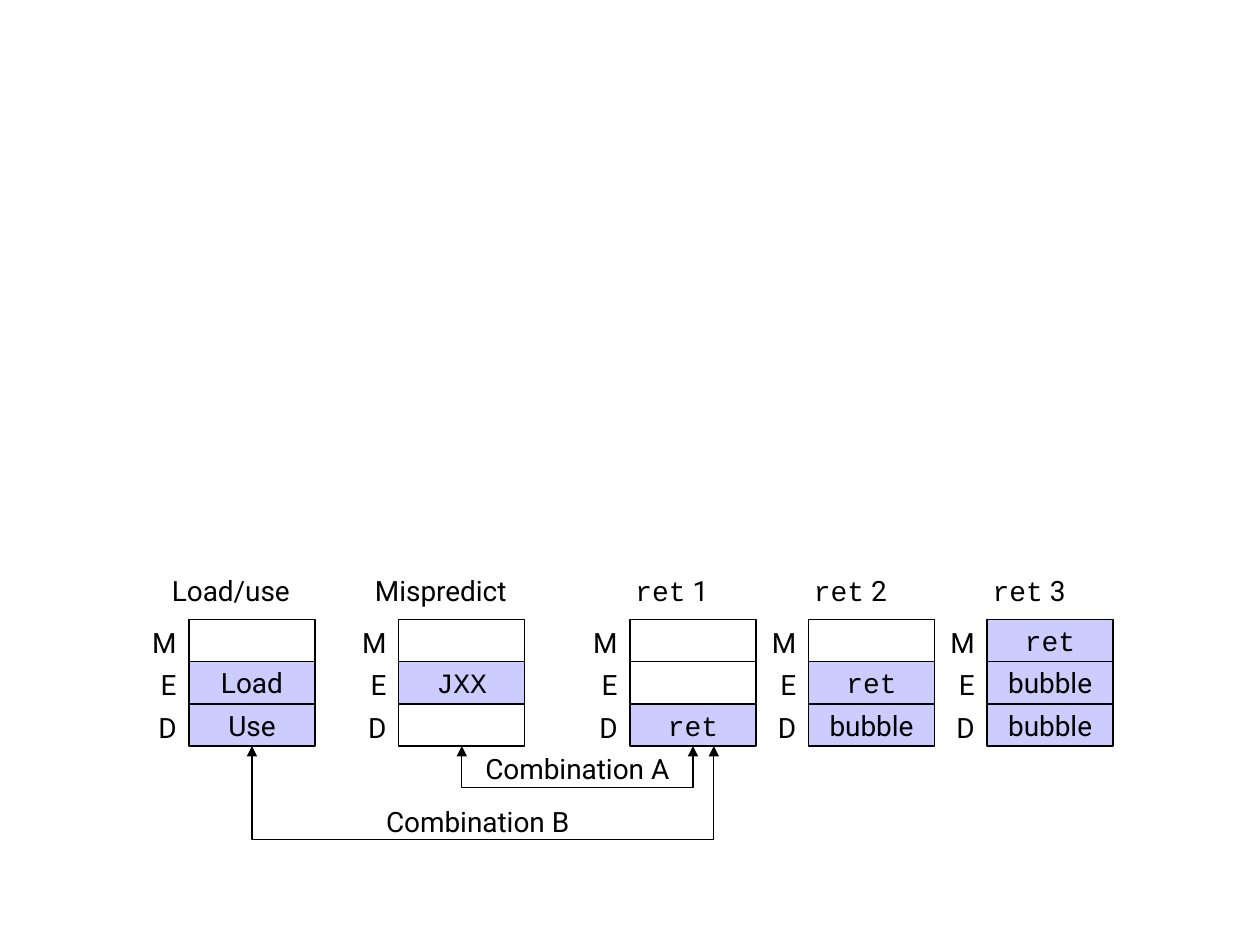
from pptx import Presentation
from pptx.dml.color import RGBColor
from pptx.enum.shapes import MSO_SHAPE as Shape
from pptx.enum.text import MSO_ANCHOR as Anchor, MSO_AUTO_SIZE as AutoSize, PP_ALIGN as Align
from pptx.oxml.ns import qn
from pptx.util import Cm, Pt
from lxml.etree import SubElement

COLORS = {"ink": "000000", "busy": "CCCCFF", "empty": "FFFFFF"}
RGB = {name: RGBColor.from_string(value) for name, value in COLORS.items()}
MONO = {"ret", "JXX"}
BOX_FORMAT = {"word_wrap": True, "auto_size": AutoSize.SHAPE_TO_FIT_TEXT}
CELL_FORMAT = {"word_wrap": False, "vertical_anchor": Anchor.MIDDLE}

STAGES = ["M", "E", "D"]
TOP, ROW, WIDTH = 12.49, 0.85, 2.54
BOTTOM = TOP + len(STAGES) * ROW
TEXT_HEIGHT = 0.94

PIPELINES = [
    (3.81, ["Load/use"], ["", "Load", "Use"]),
    (8.04, ["Mispredict"], ["", "JXX", ""]),
    (12.7, ["ret", " 1"], ["", "", "ret"]),
    (16.3, ["ret", " 2"], ["", "ret", "bubble"]),
    (19.9, ["ret", " 3"], ["ret", "bubble", "bubble"]),
]
COMBINATIONS = [
    ("Combination A", (8.89, 15.03, 5.5), (9.31, 13.97, 15.88)),
    ("Combination B", (5.08, 16.09, 9.1), (5.08, 14.39, 16.93)),
]


def write(tf, texts, align, settings):
    for name, value in settings.items():
        setattr(tf, name, value)
    p = tf.paragraphs[0]
    p.alignment = align
    for text in texts:
        r = p.add_run()
        r.text = text
        font = {"name": "Courier New" if text in MONO else "Roboto", "size": Pt(16)}
        for name, value in font.items():
            setattr(r.font, name, value)
        r.font.color.rgb = RGB["ink"]


def label(s, texts, x, y, width, align):
    box = s.shapes.add_textbox(Cm(x), Cm(y), Cm(width), Cm(TEXT_HEIGHT))
    write(box.text_frame, texts, align, BOX_FORMAT)


prs = Presentation()
prs.slide_width, prs.slide_height = Cm(25.4), Cm(19.05)
s = prs.slides.add_slide(prs.slide_layouts[6])

for x, title, cells in PIPELINES:
    label(s, title, x - 0.85, 11.43, 3.39, Align.CENTER)
    for i, (stage, text) in enumerate(zip(STAGES, cells)):
        y = TOP + i * ROW
        sp = s.shapes.add_shape(Shape.RECTANGLE, Cm(x), Cm(y), Cm(WIDTH), Cm(ROW))
        sp.shadow.inherit = False
        sp.fill.solid()
        sp.fill.fore_color.rgb = RGB["busy" if text else "empty"]
        sp.line.color.rgb = RGB["ink"]
        sp.line.width = Pt(0.75)
        if text:
            write(sp.text_frame, [text], Align.CENTER, CELL_FORMAT)
        label(s, [stage], x - 1.27, y, 1.27, Align.RIGHT)

for text, (text_x, text_y, text_width), (left, right, low) in COMBINATIONS:
    path = s.shapes.build_freeform(Cm(left), Cm(BOTTOM))
    corners = [(left, low), (right, low), (right, BOTTOM)]
    path.add_line_segments([(Cm(x), Cm(y)) for x, y in corners], close=False)
    sp = path.convert_to_shape()
    sp.shadow.inherit = False
    sp.fill.background()
    sp.line.color.rgb = RGB["ink"]
    sp.line.width = Pt(0.75)
    ln = sp.line._get_or_add_ln()
    for end in ("a:headEnd", "a:tailEnd"):
        SubElement(ln, qn(end), type="triangle")
    label(s, [text], text_x, text_y, text_width, Align.CENTER)

prs.save("out.pptx")
